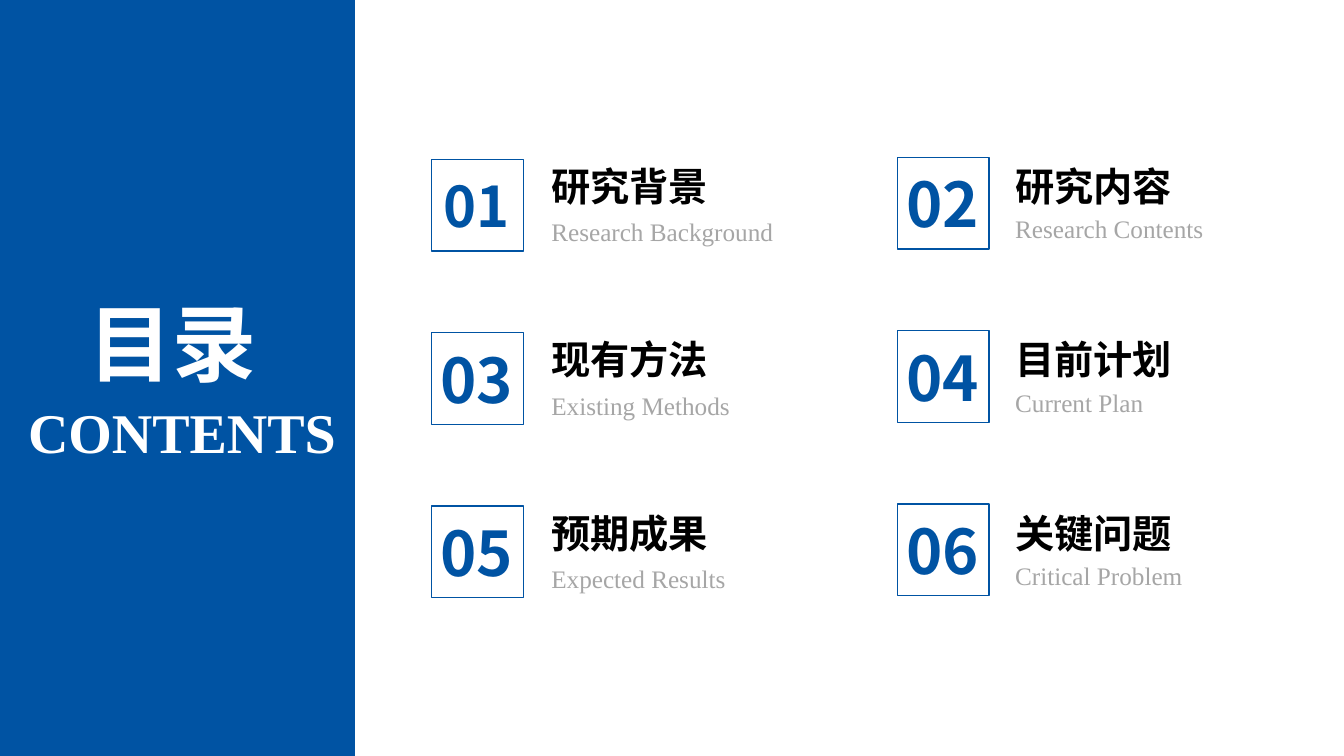
from lxml import etree
from pptx import Presentation
from pptx.dml.color import RGBColor
from pptx.enum.shapes import MSO_SHAPE
from pptx.enum.text import MSO_ANCHOR, MSO_AUTO_SIZE, PP_ALIGN
from pptx.oxml.ns import qn
from pptx.util import Inches, Pt

RECTANGLE = MSO_SHAPE.RECTANGLE
TOP = MSO_ANCHOR.TOP
GROW = MSO_AUTO_SIZE.SHAPE_TO_FIT_TEXT
LEFT, CENTER, RIGHT = PP_ALIGN.LEFT, PP_ALIGN.CENTER, PP_ALIGN.RIGHT

COLORS = {"blue": "0053A3", "white": "FFFFFF", "black": "000000", "gray": "A6A6A6"}
CHINESE_FONT = "Noto Sans CJK SC"
ENGLISH_FONT = "Times New Roman"

FRAME_SIZE = 0.91
ROW_PITCH = 1.72
COLUMNS = [
    {"left": 4.28, "top": 1.58, "text_left": 1.09, "heading_top": -0.02, "subtitle_top": 0.52},
    {"left": 8.9, "top": 1.56, "text_left": 1.07, "heading_top": 0, "subtitle_top": 0.51},
]
TOPICS = [
    ("研究背景", "Research Background"),
    ("研究内容", "Research Contents"),
    ("现有方法", "Existing Methods"),
    ("目前计划", "Current Plan"),
    ("预期成果", "Expected Results"),
    ("关键问题", "Critical Problem"),
]


def color(name):
    return RGBColor.from_string(COLORS[name])


def write_text(shape, text, size, font_name, color_name, bold=True, alignment=LEFT):
    frame = shape.text_frame
    frame.word_wrap = True
    frame.auto_size = GROW
    frame.vertical_anchor = TOP
    frame.text = text
    paragraph = frame.paragraphs[0]
    paragraph.alignment = alignment
    font = paragraph.font
    font.size = Pt(size)
    font.bold = bold
    font.color.rgb = color(color_name)
    font.name = font_name
    properties = paragraph._p.pPr.find(qn("a:defRPr"))
    etree.SubElement(properties, qn("a:ea")).set("typeface", font_name)


def add_text(shapes, left, top, width, height, *text_format, **options):
    box = shapes.add_textbox(Inches(left), Inches(top), Inches(width), Inches(height))
    write_text(box, *text_format, **options)


def add_rectangle(shapes, left, top, width, height):
    shape = shapes.add_shape(
        RECTANGLE, Inches(left), Inches(top), Inches(width), Inches(height)
    )
    shape.shadow.inherit = False
    return shape


def add_title_panel(slide, left, top, width, height):
    panel = add_rectangle(slide.shapes, left, top, width, height)
    panel.fill.solid()
    panel.fill.fore_color.rgb = color("blue")
    panel.line.fill.background()

    title = slide.shapes.title
    title._element.addprevious(panel._element)
    title.left, title.top = Inches(left + 0.44), Inches(top + 2.84)
    title.width, title.height = Inches(2.54), Inches(1.11)
    write_text(title, "目录", 60, CHINESE_FONT, "white", alignment=CENTER)
    add_text(slide.shapes, left - 0.1, top + 3.89, 3.53, 0.77,
             "CONTENTS", 40, ENGLISH_FONT, "white", alignment=RIGHT)


def add_topic(slide, column, top, number, heading, subtitle):
    shapes = slide.shapes.add_group_shape().shapes
    left = column["left"]
    text_left = left + column["text_left"]
    add_text(shapes, text_left, top + column["heading_top"], 2.62, 0.6,
             heading, 28, CHINESE_FONT, "black")
    add_text(shapes, text_left, top + column["subtitle_top"], 2.62, 0.4,
             subtitle, 18, ENGLISH_FONT, "gray", bold=False)

    number_size, number_top = (40, 0.07) if number == 1 else (44, 0.04)
    add_text(shapes, left - 0.04, top + number_top, 0.98, 0.84,
             f"{number:02}", number_size, CHINESE_FONT, "blue", alignment=CENTER)
    frame = add_rectangle(shapes, left, top, FRAME_SIZE, FRAME_SIZE)
    frame.fill.background()
    frame.line.color.rgb = color("blue")
    frame.line.width = Pt(1)


def add_topic_grid(slide):
    for index, (heading, subtitle) in enumerate(TOPICS):
        row, column_index = divmod(index, len(COLUMNS))
        column = COLUMNS[column_index]
        top = column["top"] + row * ROW_PITCH
        add_topic(slide, column, top, index + 1, heading, subtitle)


def main():
    presentation = Presentation()
    presentation.slide_width = Inches(13.33)
    presentation.slide_height = Inches(7.5)
    slide = presentation.slides.add_slide(presentation.slide_layouts[5])
    add_title_panel(slide, 0, 0, 3.52, 7.5)
    add_topic_grid(slide)
    presentation.save("out.pptx")


if __name__ == "__main__":
    main()
